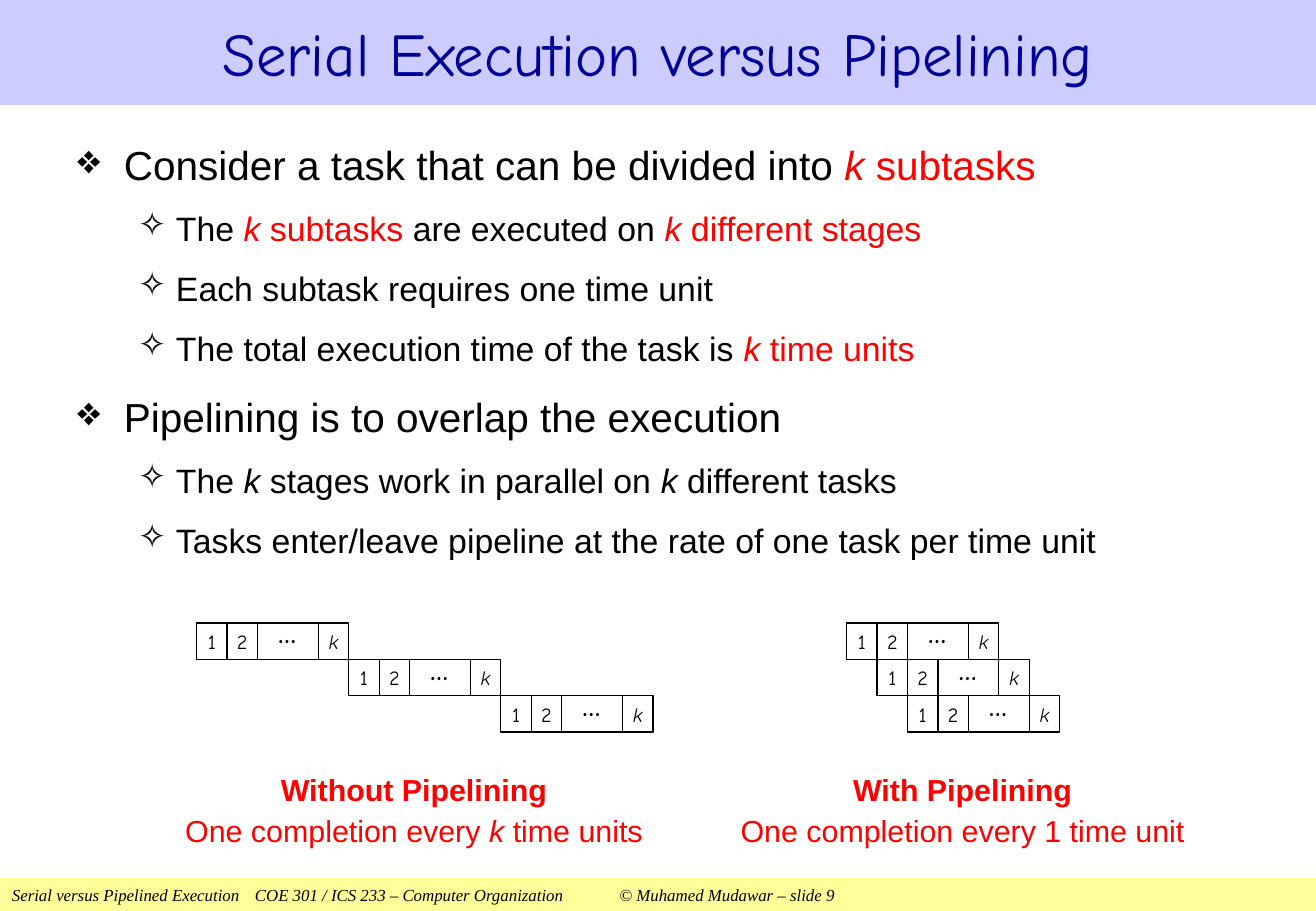
from lxml import etree
from pptx import Presentation
from pptx.dml.color import RGBColor
from pptx.enum.shapes import MSO_CONNECTOR, MSO_SHAPE
from pptx.enum.text import MSO_ANCHOR as ANCHOR, MSO_AUTO_SIZE as AUTO, PP_ALIGN as ALIGN
from pptx.oxml.ns import qn
from pptx.util import Cm, Pt

SLIDE_W, SLIDE_H = 27.51, 19.05
BAR_W, BAR_H = 3.18, 0.76
CELL = BAR_W / 5
BLACK, RED, NAVY = "000000", "FF0000", "000099"
HAND = "Comic Neue"

# Text pieces are (text, style): "r" red, "i" italic, "b" bold
BULLETS = [
    (0, [("Consider a task that can be divided into ", ""), ("k", "ri"), (" subtasks", "r")]),
    (1, [("The ", ""), ("k", "ri"), (" subtasks", "r"), (" are executed on ", ""),
         ("k", "ri"), (" different stages", "r")]),
    (1, [("Each subtask requires one time unit", "")]),
    (1, [("The total execution time of the task is ", ""), ("k ", "ri"), ("time units", "r")]),
    (0, [("Pipelining is to overlap the execution", "")]),
    (1, [("The ", ""), ("k", "i"), (" stages work in parallel on ", ""), ("k", "i"),
         (" different tasks", "")]),
    (1, [("Tasks enter/leave pipeline at the rate of one task per time unit", "")]),
]
# Per level: bullet, size, left margin, hanging indent, space before
LEVELS = [("❖", 24, 0.97, 0.97, 11), ("✧", 20, 2.06, 0.79, 9.2)]


def rgb(color):
    return RGBColor.from_string(color)


def add_run(p, text, size=18, font="Arial", color=BLACK, bold=False, italic=False):
    r = p.add_run()
    r.text = text
    f = r.font
    f.size, f.name, f.bold, f.italic = Pt(size), font, bold, italic
    f.color.rgb = rgb(color)


def add_pieces(p, pieces, size):
    for text, style in pieces:
        add_run(p, text, size, color=RED if "r" in style else BLACK,
                bold="b" in style, italic="i" in style)


def add_box(shapes, x, y, w, h, side=0.25, top=0.13):
    """Add an empty text box and return its text frame."""
    tf = shapes.add_textbox(Cm(x), Cm(y), Cm(w), Cm(h)).text_frame
    tf.word_wrap = True
    tf.margin_left = tf.margin_right = Cm(side)
    tf.margin_top = tf.margin_bottom = Cm(top)
    return tf


def add_rect(shapes, x, y, w, h, fill, line=None):
    sp = shapes.add_shape(MSO_SHAPE.RECTANGLE, Cm(x), Cm(y), Cm(w), Cm(h))
    sp.shadow.inherit = False
    sp.fill.solid()
    sp.fill.fore_color.rgb = rgb(fill)
    if line:
        sp.line.color.rgb = rgb(line)
        sp.line.width = Pt(0.75)
    else:
        sp.line.fill.background()
    return sp


def add_divider(shapes, x, y, h):
    c = shapes.add_connector(MSO_CONNECTOR.STRAIGHT, Cm(x), Cm(y), Cm(x), Cm(y + h))
    c.line.color.rgb = rgb(BLACK)
    c.line.width = Pt(0.75)
    etree.SubElement(c._element.spPr, qn("a:effectLst"))


def add_label(shapes, text, x, y, w, h, top=0.13, **style):
    p = add_box(shapes, x, y, w, h, side=0, top=top).paragraphs[0]
    p.alignment = ALIGN.CENTER
    add_run(p, text, font=HAND, **style)


def add_task(shapes, x, y):
    """Add one task bar with its subtasks 1, 2, …, k."""
    add_rect(shapes, x, y, BAR_W, BAR_H, "FFFFFF", BLACK)
    for n in (1, 2, 4):
        add_divider(shapes, x + n * CELL, y, BAR_H)
    for n, text in ((0, "1"), (1, "2"), (4, "k")):
        add_label(shapes, text, x + n * CELL, y, CELL, BAR_H, size=12, italic=text == "k")
    add_label(shapes, "…", x + 1.51, y - 0.13, 0.76, 0.69, top=0, size=16, bold=True)


def add_schedule(s, x, y, step):
    """Add three tasks, each starting one step after the one above."""
    group = s.shapes.add_group_shape()
    for n in range(3):
        add_task(group.shapes, x + n * step, y + n * BAR_H)


def add_caption(s, x, w, heading, pieces):
    tf = add_box(s.shapes, x, 16, w, 1.85)
    p = tf.paragraphs[0]
    add_pieces(p, [(heading, "rb")], 18)
    p.alignment = ALIGN.CENTER
    p = tf.add_paragraph()
    add_pieces(p, pieces, 18)
    p.alignment = ALIGN.CENTER
    p.space_before = Pt(2.5)


def add_bullets(s):
    tf = add_box(s.shapes, 1.37, 2.69, 24.64, 9.8)
    for n, (level, pieces) in enumerate(BULLETS):
        bullet, size, margin, hang, space = LEVELS[level]
        p = tf.add_paragraph() if n else tf.paragraphs[0]
        p.level = level
        p.line_spacing = 1.1
        p.space_before = Pt(space if n else 0)
        pPr = p._p.get_or_add_pPr()
        pPr.set("marL", str(Cm(margin)))
        pPr.set("indent", str(-Cm(hang)))
        etree.SubElement(pPr, qn("a:buChar"), char=bullet)
        add_pieces(p, pieces, size)


def add_title(s, text):
    sp = s.shapes.title
    sp.left, sp.top, sp.width, sp.height = Cm(0), Cm(0), Cm(SLIDE_W), Cm(2.2)
    sp.fill.solid()
    sp.fill.fore_color.rgb = rgb("CCCCFF")
    tf = sp.text_frame
    tf.auto_size = AUTO.NONE
    tf.vertical_anchor = ANCHOR.MIDDLE
    p = tf.paragraphs[0]
    p.alignment = ALIGN.CENTER
    add_run(p, text, size=36, font=HAND, color=NAVY)


def add_footer(s, text):
    tf = add_rect(s.shapes, 0, 18.36, SLIDE_W, 0.69, "FFFF99").text_frame
    tf.margin_top = tf.margin_bottom = 0
    tf.vertical_anchor = ANCHOR.MIDDLE
    p = tf.paragraphs[0]
    p.alignment = ALIGN.LEFT
    add_run(p, text, size=10, font="Times New Roman", italic=True)


def main():
    prs = Presentation()
    prs.slide_width, prs.slide_height = Cm(SLIDE_W), Cm(SLIDE_H)
    s = prs.slides.add_slide(prs.slide_layouts[5])
    add_footer(s, "Serial versus Pipelined Execution\tCOE 301 / ICS 233 – Computer Organization"
                  "\t© Muhamed Mudawar – slide 9")
    add_title(s, "Serial Execution versus Pipelining")
    add_bullets(s)
    add_schedule(s, 4.11, 13.03, step=BAR_W)
    add_schedule(s, 17.7, 13.03, step=CELL)
    add_caption(s, 3.12, 11.07, "Without Pipelining",
                [("One completion every ", "r"), ("k ", "ri"), ("time units", "r")])
    add_caption(s, 14.78, 10.69, "With Pipelining", [("One completion every 1 time unit", "r")])
    prs.save("out.pptx")


if __name__ == "__main__":
    main()
